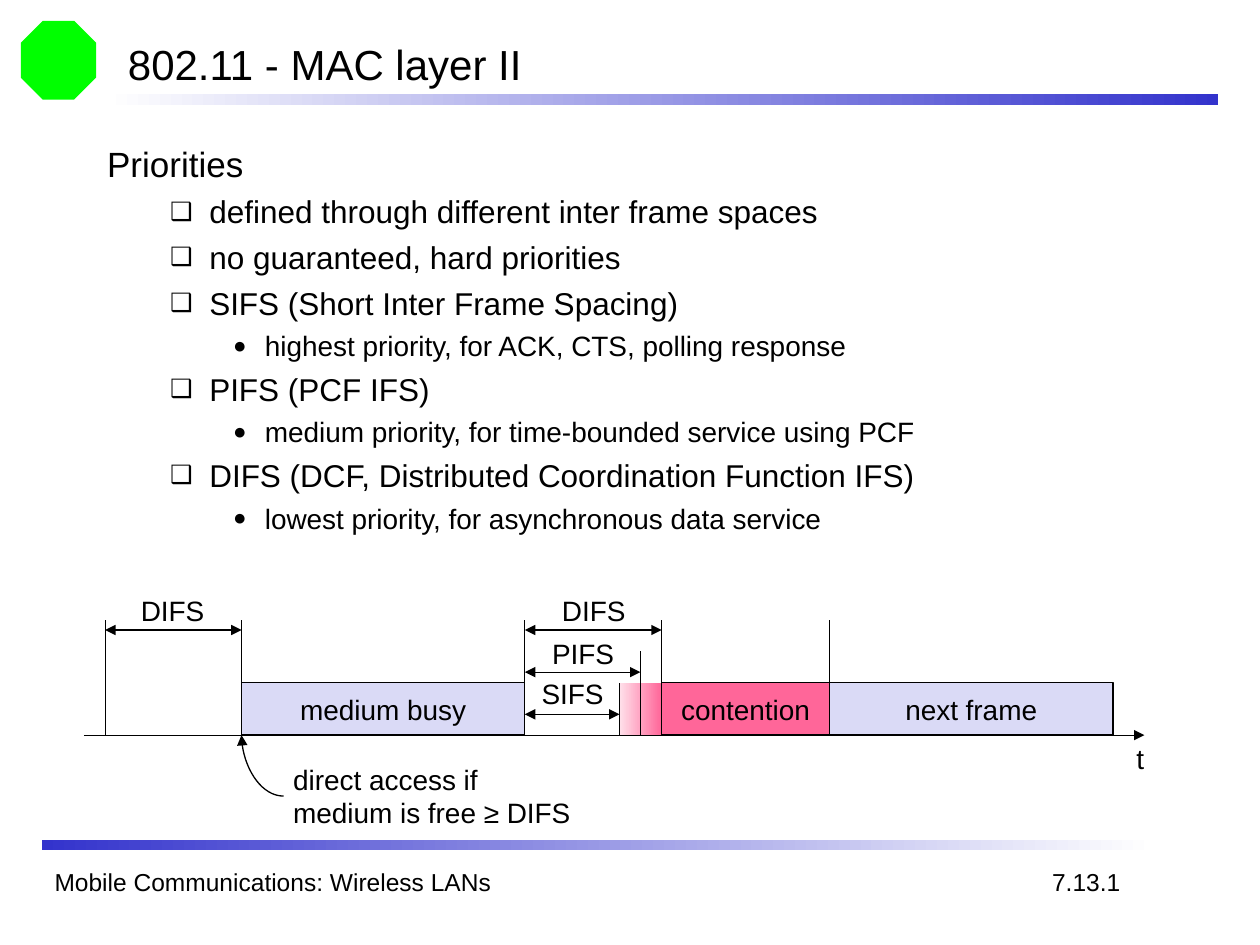
from lxml.etree import SubElement
from pptx import Presentation
from pptx.dml.color import RGBColor as RGB
from pptx.enum.shapes import MSO_CONNECTOR as LINK, MSO_SHAPE as SHAPE
from pptx.enum.text import MSO_ANCHOR as ANCHOR, MSO_AUTO_SIZE as AUTO, PP_ALIGN as ALIGN
from pptx.oxml.ns import qn
from pptx.util import Cm, Pt

THEME = {
    "font": "Arial", "ink": "000000", "paper": "FFFFFF", "rule": "3333CC", "mark": "00FF00",
    "frame": "DADAF6", "contention": "FF6699", "blush": "FFE0EA",
    "title": 24, "label": 16, "footer": 14, "line": 0.75,
}
LEVELS = [
    {"size": 20, "before": 5, "margin": 0.95, "hang": 0.95, "bullet": None},
    {"size": 18, "before": 4.5, "margin": 2.06, "hang": 0.79, "bullet": "❑"},
    {"size": 16, "before": 4, "margin": 3.18, "hang": 0.64, "bullet": "●"},
]
POINTS = [
    (0, "Priorities"),
    (1, "defined through different inter frame spaces"),
    (1, "no guaranteed, hard priorities"),
    (1, "SIFS (Short Inter Frame Spacing)"),
    (2, "highest priority, for ACK, CTS, polling response"),
    (1, "PIFS (PCF IFS)"),
    (2, "medium priority, for time-bounded service using PCF"),
    (1, "DIFS (DCF, Distributed Coordination Function IFS)"),
    (2, "lowest priority, for asynchronous data service"),
]
RULES = [(2.12, 1.9, "paper", "rule"), (0.85, 16.93, "rule", "paper")]
AXIS, BOX_TOP, PIFS_TOP, TICK_TOP = 14.82, 13.76, 13.12, 12.49
TIMES = {"start": 2.12, "busy": 4.87, "idle": 10.58, "sifs": 12.49,
         "pifs": 12.91, "difs": 13.34, "next": 16.72, "end": 22.44}
FRAMES = [("medium busy", "busy", "idle", "frame"),
          ("next frame", "next", "end", "frame"),
          ("contention", "difs", "next", "contention")]
TICKS = [("start", TICK_TOP), ("busy", TICK_TOP), ("idle", TICK_TOP), ("difs", TICK_TOP),
         ("next", TICK_TOP), ("pifs", PIFS_TOP), ("sifs", BOX_TOP)]
SPANS = [("start", "busy", 12.7), ("idle", "difs", 12.7),
         ("idle", "pifs", 13.55), ("idle", "sifs", 14.4)]
LABELS = [
    (2.59, 11.85, 2, 0.93, "label", ["DIFS"]),
    (11.08, 11.85, 2, 0.93, "label", ["DIFS"]),
    (10.88, 12.7, 2, 0.93, "label", ["PIFS"]),
    (10.67, 13.51, 2, 0.93, "label", ["SIFS"]),
    (22.66, 14.82, 0.8, 0.93, "label", ["t"]),
    (5.66, 15.24, 6.5, 1.63, "label", ["direct access if", "medium is free ≥ DIFS"]),
    (0.85, 17.36, 17.15, 0.85, "footer", ["Mobile Communications: Wireless LANs"]),
    (20.96, 17.36, 2.1, 0.86, "footer", ["7.13.1"]),
]


def color(name):
    """Return a theme colour."""
    return RGB.from_string(THEME[name])


def assign(obj, values):
    """Set every attribute in a dict of format values."""
    for name, value in values.items():
        setattr(obj, name, value)


def write(p, text, size):
    """Add one styled run to a paragraph."""
    r = p.add_run()
    r.text = text
    assign(r.font, {"name": THEME["font"], "size": Pt(size)})
    r.font.color.rgb = color("ink")


def add_text(s, x, y, w, h, size, lines, **frame):
    """Add a text box with one paragraph per line."""
    tf = s.shapes.add_textbox(Cm(x), Cm(y), Cm(w), Cm(h)).text_frame
    assign(tf, {"word_wrap": True, "auto_size": AUTO.NONE, **frame})
    for i, line in enumerate(lines):
        write(tf.add_paragraph() if i else tf.paragraphs[0], line, size)


def add_block(s, x, y, w, h, fills, outlined=False, kind=SHAPE.RECTANGLE):
    """Add a shape filled with one colour or a two-colour gradient."""
    sp = s.shapes.add_shape(kind, Cm(x), Cm(y), Cm(w), Cm(h))
    sp.shadow.inherit = False
    if len(fills) == 1:
        sp.fill.solid()
        sp.fill.fore_color.rgb = color(fills[0])
    else:
        sp.fill.gradient()
        sp.fill.gradient_angle = 0
        for i, (stop, name) in enumerate(zip(sp.fill.gradient_stops, fills)):
            stop.color.rgb = color(name)
            stop.position = i
    if outlined:
        sp.line.color.rgb = color("ink")
        sp.line.width = Pt(THEME["line"])
    else:
        sp.line.fill.background()
    return sp


def add_line(s, x1, y1, x2, y2, ends=(), kind=LINK.STRAIGHT):
    """Add a thin connector with optional arrowheads."""
    sp = s.shapes.add_connector(kind, Cm(x1), Cm(y1), Cm(x2), Cm(y2))
    sp.line.color.rgb = color("ink")
    sp.line.width = Pt(THEME["line"])
    ln = sp.line._get_or_add_ln()
    for end in ends:
        SubElement(ln, qn(f"a:{end}"), type="triangle")
    SubElement(sp._element.spPr, qn("a:effectLst"))
    return sp


def add_points(s):
    """Add the bulleted list of priorities."""
    tf = s.shapes.add_textbox(Cm(1.91), Cm(2.75), Cm(21.59), Cm(8.04)).text_frame
    tf.word_wrap = True
    for i, (depth, text) in enumerate(POINTS):
        p, level = tf.add_paragraph() if i else tf.paragraphs[0], LEVELS[depth]
        assign(p, {"level": depth, "space_before": Pt(level["before"])})
        pPr = p._p.get_or_add_pPr()
        pPr.set("marL", str(Cm(level["margin"])))
        pPr.set("indent", str(-Cm(level["hang"])))
        if level["bullet"]:
            SubElement(SubElement(pPr, qn("a:buClr")), qn("a:srgbClr"), val=THEME["ink"])
            SubElement(pPr, qn("a:buSzPct"), val="80000")
            SubElement(pPr, qn("a:buFont"), typeface=THEME["font"])
            SubElement(pPr, qn("a:buChar"), char=level["bullet"])
        write(p, text, level["size"])


def add_timeline(s):
    """Add the medium access timeline."""
    height = AXIS - BOX_TOP
    add_block(s, TIMES["sifs"], BOX_TOP, TIMES["difs"] - TIMES["sifs"], height,
              ["blush", "contention"])
    for text, start, end, fill in FRAMES:
        sp = add_block(s, TIMES[start], BOX_TOP, TIMES[end] - TIMES[start], height, [fill], True)
        tf = sp.text_frame
        assign(tf, {"word_wrap": False, "vertical_anchor": ANCHOR.MIDDLE})
        tf.paragraphs[0].alignment = ALIGN.CENTER
        write(tf.paragraphs[0], text, THEME["label"])
    add_line(s, 1.69, AXIS, 23.07, AXIS, ["tailEnd"])
    for time, top in TICKS:
        add_line(s, TIMES[time], AXIS, TIMES[time], top)
    for start, end, y in SPANS:
        add_line(s, TIMES[start], y, TIMES[end], y, ["headEnd", "tailEnd"])
    curve = add_line(s, 5.72, 16.05, TIMES["busy"], AXIS, ["tailEnd"], LINK.CURVE)
    curve._element.spPr.find(qn("a:prstGeom")).set("prst", "curvedConnector2")


def main():
    """Build and save the slide."""
    prs = Presentation()
    assign(prs, {"slide_width": Cm(25.4), "slide_height": Cm(19.05)})
    s = prs.slides.add_slide(prs.slide_layouts[6])
    add_block(s, 0.42, 0.42, 1.52, 1.59, ["mark"], kind=SHAPE.OCTAGON)
    for x, y, *fills in RULES:
        add_block(s, x, y, 22.44, 0.21, fills)
    add_text(s, 2.33, 0.64, 21.59, 1.27, THEME["title"], ["802.11 - MAC layer II"],
             vertical_anchor=ANCHOR.MIDDLE)
    add_points(s)
    add_timeline(s)
    for x, y, w, h, size, lines in LABELS:
        add_text(s, x, y, w, h, THEME[size], lines)
    prs.save("out.pptx")


if __name__ == "__main__":
    main()
